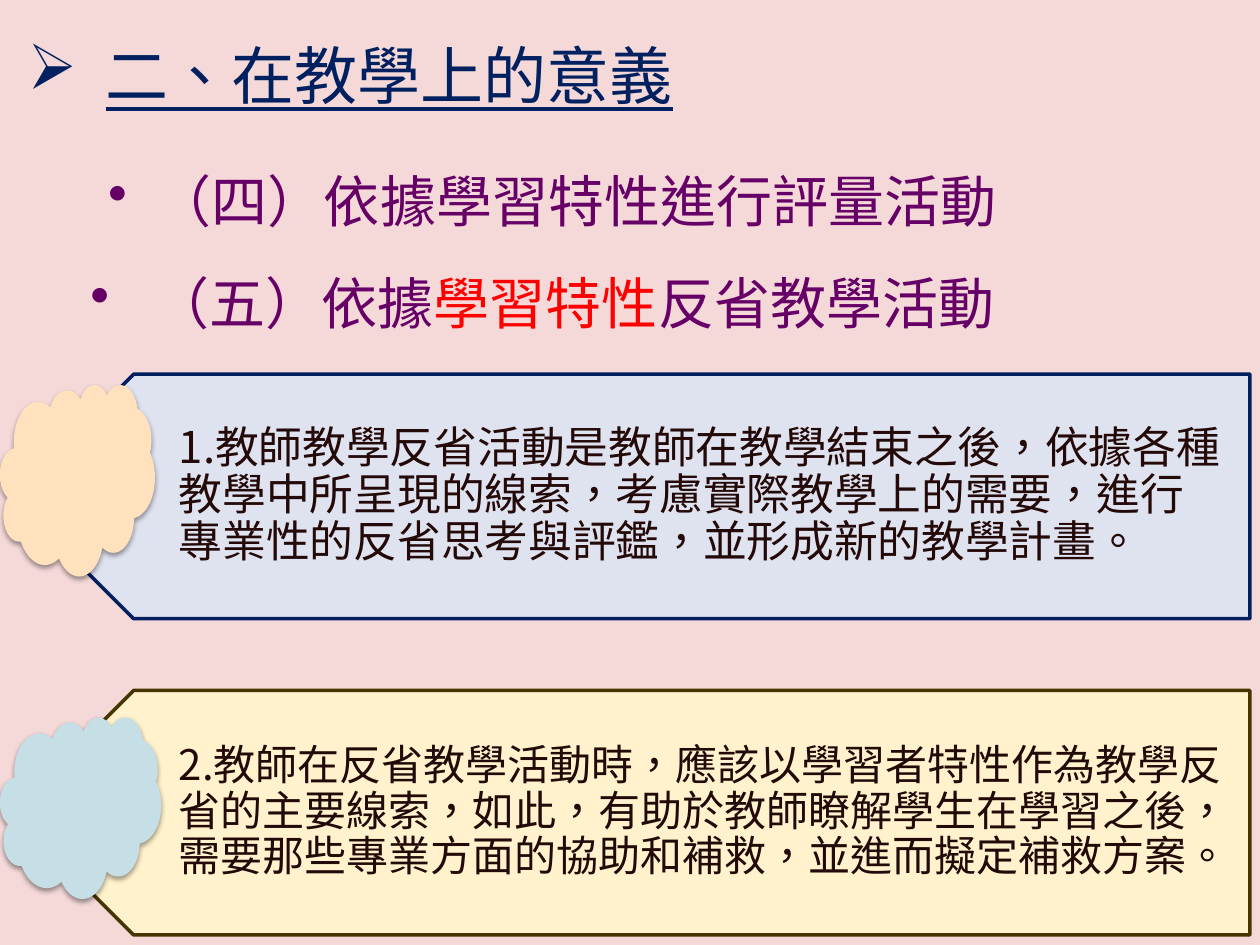
from lxml.etree import SubElement
from pptx import Presentation
from pptx.dml.color import RGBColor
from pptx.enum.shapes import MSO_SHAPE
from pptx.enum.text import MSO_ANCHOR, PP_ALIGN
from pptx.oxml.ns import qn
from pptx.util import Inches, Pt

FONT = "Noto Sans CJK SC"
NAVY, PURPLE, RED, DARK = "002060", "660066", "FF0000", "240909"
POINTS = [
    # top, fill, line, text size, cloud (top, width, height, fill), text
    (2.97, "DFE3EF", NAVY, 25, (3.05, 1.23, 1.52, "FFE2BD"),
     "1.教師教學反省活動是教師在教學結束之後，依據各種教學中所呈現的線索，"
     "考慮實際教學上的需要，進行專業性的反省思考與評鑑，並形成新的教學計畫。"),
    (5.48, "FFF2CC", "463500", 24, (5.69, 1.28, 1.44, "C6DEE6"),
     "2.教師在反省教學活動時，應該以學習者特性作為教學反省的主要線索，如此，"
     "有助於教師瞭解學生在學習之後，需要那些專業方面的協助和補救，並進而擬定補救方案。"),
]


def color(hex_string):
    return RGBColor.from_string(hex_string)


def add_text(slide, box, parts, size, anchor=MSO_ANCHOR.TOP, wrap=True):
    """Add a one-paragraph text box from (text, colour) parts."""
    frame = slide.shapes.add_textbox(*map(Inches, box)).text_frame
    frame.word_wrap = wrap
    frame.vertical_anchor = anchor
    paragraph = frame.paragraphs[0]
    paragraph.alignment = PP_ALIGN.LEFT
    for text, hex_string in parts:
        run = paragraph.add_run()
        run.text = text
        run.font.size = Pt(size)
        run.font.color.rgb = color(hex_string)
        run.font.name = FONT
        properties = run.font._element
        properties.set("lang", "zh-TW")
        SubElement(properties, qn("a:ea"), typeface=FONT)
    return frame


def set_bullet(paragraph, character, indent):
    properties = paragraph._p.get_or_add_pPr()
    properties.set("marL", str(Inches(indent)))
    properties.set("indent", str(-Inches(indent)))
    SubElement(properties, qn("a:buChar"), char=character)


def add_shape(slide, kind, box, fill):
    shape = slide.shapes.add_shape(kind, *map(Inches, box))
    shape.shadow.inherit = False
    shape.fill.solid()
    shape.fill.fore_color.rgb = color(fill)
    shape.line.fill.background()
    return shape


def add_soft_shadow(shape):
    effects = shape._element.spPr.find(qn("a:effectLst"))
    shadow = SubElement(effects, qn("a:outerShdw"), blurRad=str(Pt(3.1)),
                        dist=str(Pt(1.6)), dir=str(90 * 60000), rotWithShape="0")
    shade = SubElement(shadow, qn("a:srgbClr"), val="000000")
    SubElement(shade, qn("a:alpha"), val="38000")


def add_point(slide, top, fill, line, size, cloud, text):
    """Add a left-pointing banner with its text and a cloud on the tip."""
    banner = add_shape(slide, MSO_SHAPE.PENTAGON, (0.09, top, 9.83, 1.94), fill)
    banner.rotation = 180
    banner.line.color.rgb = color(line)
    banner.line.width = Pt(2)

    frame = add_text(slide, (0.57, top, 9.34, 1.94), [(text, DARK)], size,
                     MSO_ANCHOR.MIDDLE)
    frame.margin_left, frame.margin_right = Inches(0.85), Inches(0.19)
    frame.margin_top = frame.margin_bottom = Inches(0.1)
    frame.paragraphs[0].line_spacing = 0.9

    cloud_top, width, height, cloud_fill = cloud
    add_soft_shadow(add_shape(slide, MSO_SHAPE.CLOUD,
                              (0, cloud_top, width, height), cloud_fill))


def add_headings(slide):
    title = add_text(slide, (0.12, 0.13, 5.51, 0.92), [("二、在教學上的意義", NAVY)],
                     36, MSO_ANCHOR.MIDDLE).paragraphs[0]
    title.runs[0].font.underline = True
    set_bullet(title, "➢", 0.62)

    fourth = add_text(slide, (0.76, 1.27, 7.54, 0.82),
                      [("（四）依據學習特性進行評量活動", PURPLE)], 32).paragraphs[0]
    fourth.space_before = Pt(6.4)
    set_bullet(fourth, "•", 0.38)

    fifth = add_text(slide, (0.62, 2.08, 7.44, 0.64),
                     [("（五）依據", PURPLE), ("學習特性", RED), ("反省教學活動", PURPLE)],
                     32, wrap=False).paragraphs[0]
    set_bullet(fifth, "•", 0.5)


def main():
    presentation = Presentation()
    presentation.slide_width, presentation.slide_height = Inches(10), Inches(7.5)
    slide = presentation.slides.add_slide(presentation.slide_layouts[6])
    slide.background.fill.solid()
    slide.background.fill.fore_color.rgb = color("F5D9D9")
    add_headings(slide)
    for point in POINTS:
        add_point(slide, *point)
    presentation.save("out.pptx")


if __name__ == "__main__":
    main()
